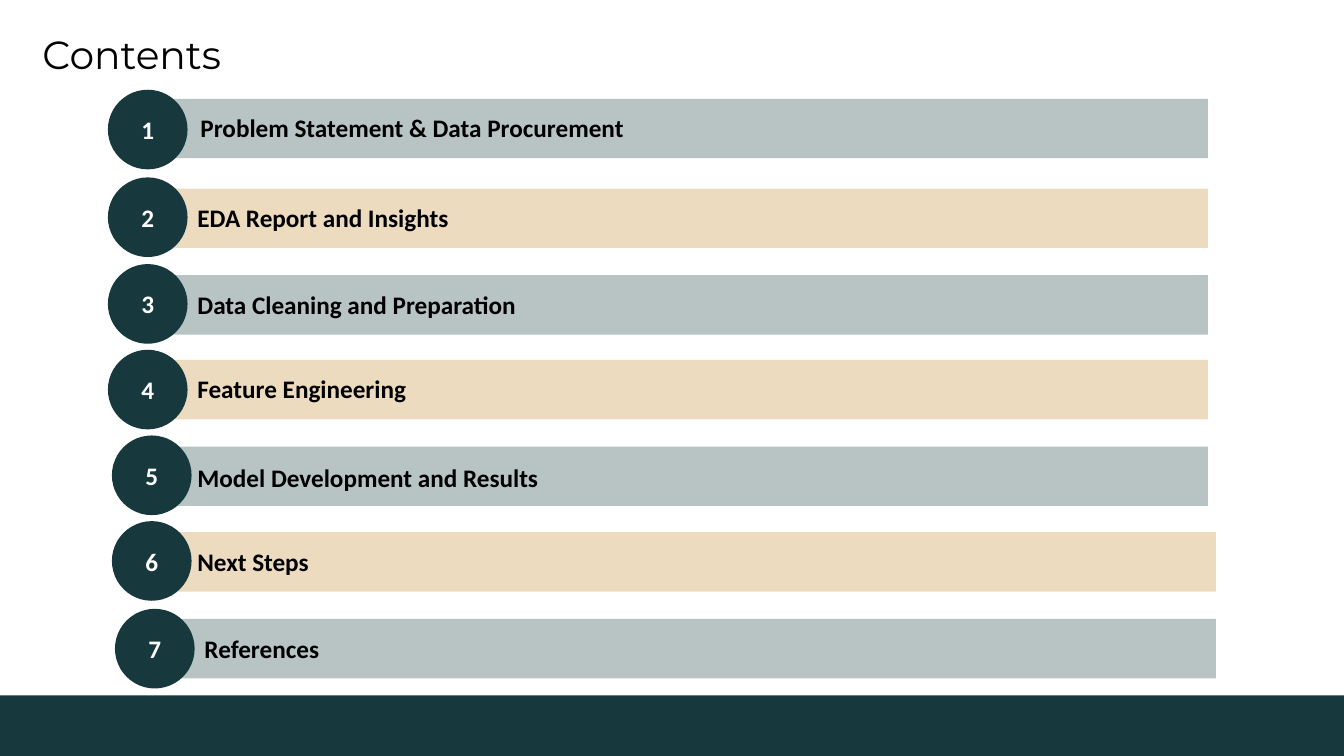
"""Build the contents slide: seven numbered bars above a dark footer band."""
from dataclasses import dataclass

from lxml.etree import SubElement
from pptx import Presentation
from pptx.dml.color import RGBColor
from pptx.enum.shapes import MSO_SHAPE
from pptx.enum.text import MSO_ANCHOR, PP_ALIGN
from pptx.oxml.ns import qn
from pptx.util import Emu, Pt

TITLE = "Contents"
# label, (circle left, top), (bar left, top), (label left, top)
ENTRIES = [
    ("Problem Statement & Data Procurement", (107, 89), (154, 98), (189, 107)),
    ("EDA Report and Insights", (107, 176), (154, 187), (186, 196)),
    ("Data Cleaning and Preparation", (107, 262), (154, 273), (186, 282)),
    ("Feature Engineering", (107, 347), (154, 357), (186, 365)),
    ("Model Development and Results", (111, 432), (154, 443), (186, 454)),
    ("Next Steps", (111, 517), (162, 528), (186, 537)),
    ("References", (114, 604), (162, 614), (193, 623)),
]
SLIDE_SIZE = (1333, 750)
TITLE_BOX = (32, 23, 765, 59)
FOOTER_BOX = (0, 690, 1333, 60)
CIRCLE_SIZE = (79, 79)
BAR_SIZE = (1044, 59)
LABEL_SIZE = (694, 40)
EMU_PER_PX = 9144


@dataclass(frozen=True)
class Theme:
    teal: str = "17393D"
    gold: str = "C2882B"
    white: str = "FFFFFF"
    black: str = "000000"
    title_font: str = "Montserrat"
    body_font: str = "Calibri"
    title_size: int = 28
    body_size: int = 18
    bar_opacity: int = 30


THEME = Theme()


def to_emu(lengths):
    return [Emu(length * EMU_PER_PX) for length in lengths]


def format_text(paragraph, font_name, size, color, bold):
    for run in paragraph.runs:
        run.font.name = font_name
        run.font.size = Pt(size)
        run.font.bold = bold
        run.font.color.rgb = RGBColor.from_string(color)


def add_filled_shape(slide, kind, box, color, opacity=100):
    shape = slide.shapes.add_shape(kind, *to_emu(box))
    shape.shadow.inherit = False
    shape.line.fill.background()
    shape.fill.solid()
    shape.fill.fore_color.rgb = RGBColor.from_string(color)
    if opacity < 100:
        color_element = shape.element.spPr.find(f".//{qn('a:srgbClr')}")
        SubElement(color_element, qn("a:alpha"), val=str(opacity * 1000))
    return shape


def add_title(slide):
    title = slide.shapes.title
    title.left, title.top, title.width, title.height = to_emu(TITLE_BOX)
    text_frame = title.text_frame
    text_frame.text = TITLE
    text_frame.vertical_anchor = MSO_ANCHOR.BOTTOM
    paragraph = text_frame.paragraphs[0]
    paragraph.alignment = PP_ALIGN.LEFT
    paragraph.line_spacing = 0.9
    format_text(paragraph, THEME.title_font, THEME.title_size, THEME.black, False)


def add_entry(slide, number, label, circle_at, bar_at, label_at):
    bar_color = THEME.teal if number % 2 else THEME.gold
    add_filled_shape(slide, MSO_SHAPE.RECTANGLE, bar_at + BAR_SIZE,
                     bar_color, THEME.bar_opacity)
    circle = add_filled_shape(slide, MSO_SHAPE.OVAL, circle_at + CIRCLE_SIZE, THEME.teal)
    circle.text_frame.text = str(number)
    circle.text_frame.vertical_anchor = MSO_ANCHOR.MIDDLE
    paragraph = circle.text_frame.paragraphs[0]
    paragraph.alignment = PP_ALIGN.CENTER
    format_text(paragraph, THEME.body_font, THEME.body_size, THEME.white, True)

    text_box = slide.shapes.add_textbox(*to_emu(label_at + LABEL_SIZE))
    text_box.text_frame.word_wrap = True
    text_box.text_frame.text = label
    format_text(text_box.text_frame.paragraphs[0], THEME.body_font,
                THEME.body_size, THEME.black, True)


def main():
    presentation = Presentation()
    presentation.slide_width, presentation.slide_height = to_emu(SLIDE_SIZE)
    slide = presentation.slides.add_slide(presentation.slide_layouts[5])
    add_filled_shape(slide, MSO_SHAPE.RECTANGLE, FOOTER_BOX, THEME.teal)
    add_title(slide)
    for number, entry in enumerate(ENTRIES, start=1):
        add_entry(slide, number, *entry)
    presentation.save("out.pptx")


if __name__ == "__main__":
    main()
